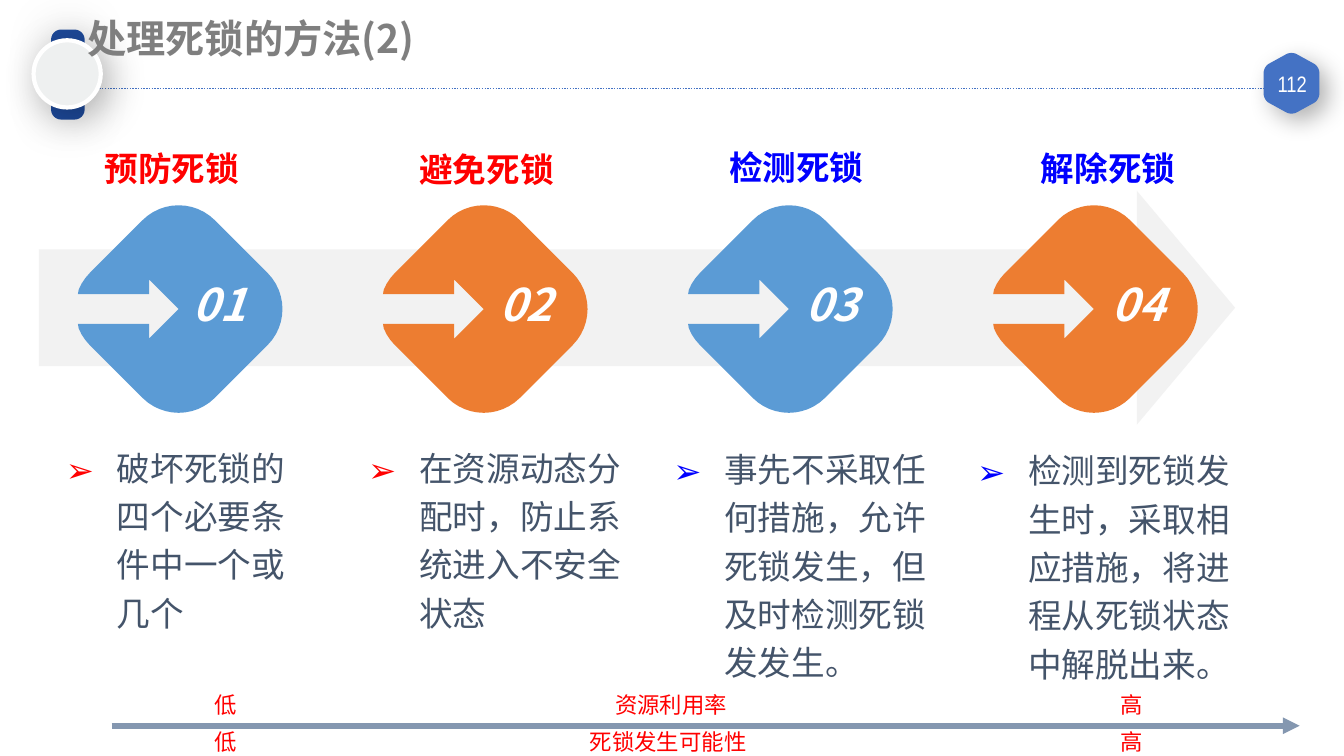
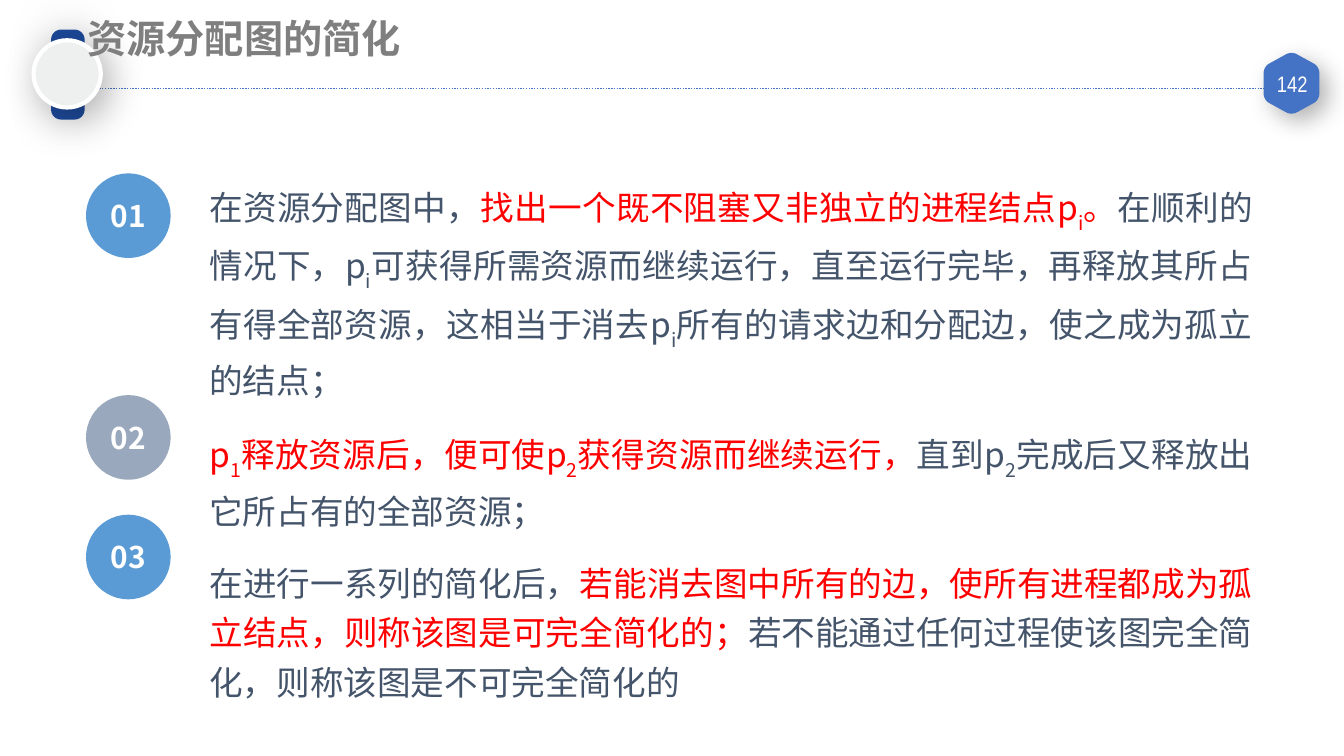
from math import hypot

from lxml.etree import SubElement
from pptx import Presentation
from pptx.dml.color import RGBColor
from pptx.enum.dml import MSO_LINE as Dash
from pptx.enum.shapes import MSO_CONNECTOR as Link, MSO_SHAPE as Kind
from pptx.enum.text import MSO_ANCHOR as Anchor, MSO_AUTO_SIZE as Fit, PP_ALIGN as Align
from pptx.oxml.ns import qn
from pptx.util import Inches, Pt

SANS = "Noto Sans CJK SC"
NARROW = "Arial Narrow"
WHITE, GRAY, PALE, PEARL = "FFFFFF", "7F7F7F", "F2F2F2", "EEF0F0"
INK, RED, PURE = "44546A", "FF0000", "0000FF"
ROYAL, NAVY, SKY = "4472C4", "1D4999", "5B9BD5"
ORANGE, SLATE, STEEL = "ED7D31", "99A8BD", "8497B0"
SNUG = (0.07, 0.04)
LOOSE = (0.1, 0.05)

METHODS = [
    ("预防死锁", RED, SKY, "破坏死锁的四个必要条件中一个或几个",
     (0.18, 1.06, 2.2, 0.32), (0.42, 3.23, 1.86, 1.2)),
    ("避免死锁", RED, ORANGE, "在资源动态分配时，防止系统进入不安全状态",
     (2.26, 1.04, 2.72, 0.32), (2.67, 3.23, 2.06, 1.74)),
    ("检测死锁", PURE, SKY, "事先不采取任何措施，允许死锁发生，但及时检测死锁发发生。",
     (4.96, 1.05, 1.93, 0.32), (4.94, 3.24, 2.1, 1.72)),
    ("解除死锁", PURE, ORANGE, "检测到死锁发生时，采取相应措施，将进程从死锁状态中解脱出来。",
     (6.98, 1.06, 2.53, 0.32), (7.2, 3.25, 2.24, 1.2)),
]
SCALES = [("资源利用率", 4.48, 1.04, 5.09), ("死锁发生可能性", 4.29, 1.38, 5.37)]
STEPS = [
    [("在资源分配图中，", INK),
     ("找出一个既不阻塞又非独立的进程结点p_i。", RED),
     ("在顺利的情况下，p_i可获得所需资源而继续运行，直至运行完毕，再释放其所占有得全部资源，"
      "这相当于消去p_i所有的请求边和分配边，使之成为孤立的结点；", INK)],
    [("p_1释放资源后，便可使p_2获得资源而继续运行，", RED),
     ("直到p_2完成后又释放出它所占有的全部资源；", INK)],
    [("在进行一系列的简化后，", INK),
     ("若能消去图中所有的边，使所有进程都成为孤立结点，则称该图是可完全简化的；", RED),
     ("若不能通过任何过程使该图完全简化，则称该图是不可完全简化的", INK)],
]
BADGES = [(1.29, SKY), (2.94, SLATE), (3.83, SKY)]


def tint(code):
    return RGBColor.from_string(code)


def paint(shape, fill, line=None, width=1):
    shape.shadow.inherit = False
    shape.fill.solid()
    shape.fill.fore_color.rgb = tint(fill)
    if line:
        shape.line.color.rgb = tint(line)
        shape.line.width = Pt(width)
    else:
        shape.line.fill.background()


def shade(shape, alpha, blur, dist, angle):
    props = shape._element.spPr
    glow = SubElement(props.find(qn("a:effectLst")), qn("a:outerShdw"), blurRad=str(Pt(blur)),
                      dist=str(Pt(dist)), dir=str(angle * 60000), algn="ctr", rotWithShape="0")
    color = SubElement(glow, qn("a:srgbClr"), val="000000")
    SubElement(color, qn("a:alpha"), val=str(alpha * 1000))


def style(para, size, color, bold=False, italic=False, face=SANS):
    font = para.font
    font.size, font.bold, font.italic = Pt(size), bold, italic
    font.color.rgb = tint(color)
    font.name = face
    base = para._p.pPr.find(qn("a:defRPr"))
    SubElement(base, qn("a:ea"), typeface=face)


def setup(frame, inset=SNUG, anchor=Anchor.TOP, wrap=True):
    frame.word_wrap = wrap
    frame.vertical_anchor = anchor
    frame.margin_left = frame.margin_right = Inches(inset[0])
    frame.margin_top = frame.margin_bottom = Inches(inset[1])


def write(frame, text, size, color, align=Align.CENTER, **look):
    para = frame.paragraphs[0]
    para.text = text
    para.alignment = align
    style(para, size, color, **look)
    return para


def label(slide, at, text, size, color, inset=SNUG, anchor=Anchor.TOP,
          wrap=True, **look):
    box = slide.shapes.add_textbox(*map(Inches, at))
    setup(box.text_frame, inset, anchor, wrap)
    return write(box.text_frame, text, size, color, **look)


def bullet(slide, at, text, color):
    box = slide.shapes.add_textbox(*map(Inches, at))
    setup(box.text_frame)
    para = box.text_frame.paragraphs[0]
    props = para._p.get_or_add_pPr()
    props.set("marL", str(Inches(0.38)))
    props.set("indent", str(-Inches(0.38)))
    SubElement(SubElement(props, qn("a:buClr")), qn("a:srgbClr"), val=color)
    SubElement(props, qn("a:buFont"), typeface=SANS)
    SubElement(props, qn("a:buChar"), char="➢")
    para.line_spacing = 1.2
    write(box.text_frame, text, 18, INK, Align.LEFT)


def block(slide, kind, at, fill, line=None, width=1):
    shape = slide.shapes.add_shape(kind, *map(Inches, at))
    paint(shape, fill, line, width)
    return shape


def rule(slide, start, end, color, width):
    line = slide.shapes.add_connector(Link.STRAIGHT, *map(Inches, start + end))
    line.line.color.rgb = tint(color)
    line.line.width = Pt(width)
    SubElement(line._element.spPr, qn("a:effectLst"))
    return line


def curve(corners, cut, count=12):
    points = []
    for i, (x, y) in enumerate(corners):
        ends = []
        for u, v in (corners[i - 1], corners[(i + 1) % len(corners)]):
            part = cut / hypot(u - x, v - y)
            ends.append(((u - x) * part, (v - y) * part))
        (a, b), (c, d) = ends
        for n in range(count + 1):
            t = n / count
            s = 1 - t
            p = s ** 3 + 1.35 * s * s * t
            q = t ** 3 + 1.35 * t * t * s
            points.append((x + p * a + q * c, y + p * b + q * d))
    return points


def outline(slide, points, x, y, fill, line=None):
    spots = [(Inches(x + u), Inches(y + v)) for u, v in points]
    pen = slide.shapes.build_freeform(*spots[0])
    pen.add_line_segments(spots[1:], close=True)
    shape = pen.convert_to_shape()
    paint(shape, fill, line)
    return shape


def diamond(slide, x, y, fill):
    points = curve([(0, -0.93), (0.93, 0), (0, 0.93), (-0.93, 0)], 0.38)
    notch = [(-0.75, 0.11), (-0.22, 0.11), (-0.22, 0.22), (0, 0),
             (-0.22, -0.22), (-0.22, -0.11), (-0.75, -0.11)]
    outline(slide, points[:-9] + notch + points[-4:], x, y, fill)


def frame(deck, title, page):
    slide = deck.slides.add_slide(deck.slide_layouts[5])
    rule(slide, (0.33, 0.66), (9.43, 0.66), ROYAL, 0.75).line.dash_style = Dash.ROUND_DOT
    hexa = [(0, -0.23), (0.2, -0.12), (0.2, 0.12), (0, 0.23), (-0.2, 0.12), (-0.2, -0.12)]
    shade(outline(slide, curve(hexa, 0.04), 9.61, 0.62, ROYAL, ROYAL), 30, 13, 6, 45)
    label(slide, (9.42, 0.5, 0.39, 0.25), page, 12, WHITE, anchor=Anchor.MIDDLE, face=NARROW)
    bar = block(slide, Kind.ROUNDED_RECTANGLE, (0.38, 0.22, 0.25, 0.67), NAVY)
    bar.adjustments[0] = 0.3
    shade(bar, 17, 27, 0, 0)
    disc = block(slide, Kind.OVAL, (0.25, 0.3, 0.5, 0.5), PEARL, WHITE, 2.25)
    shade(disc, 28, 22, 6, 45)
    head = slide.shapes.title
    head.left, head.top, head.width, head.height = map(Inches, (0.55, 0.06, 5.76, 0.45))
    setup(head.text_frame, LOOSE)
    head.text_frame.auto_size = Fit.SHAPE_TO_FIT_TEXT
    write(head.text_frame, title, 21, GRAY, Align.LEFT, bold=True)
    slide.shapes._spTree.append(head._element)
    return slide


def methods(deck):
    slide = frame(deck, "处理死锁的方法(2)", "112")
    band = block(slide, Kind.RIGHT_ARROW, (0.29, 1.42, 8.9, 1.74), PALE)
    band.adjustments[0], band.adjustments[1] = 0.5, 0.42
    for i, (name, color, fill, text, top, low) in enumerate(METHODS):
        diamond(slide, 1.33 + 2.27 * i, 2.3, fill)
        label(slide, (1.34 + 2.28 * i, 1.98, 0.58, 0.56), f"{i + 1:02}", 24, WHITE,
              anchor=Anchor.MIDDLE, bold=True, italic=True)
        para = label(slide, top, name, 18, color, bold=True)
        if i == 1:
            para.line_spacing = 1.1
        bullet(slide, low, text, color)
    axis = rule(slide, (0.83, 5.4), (9.67, 5.4), STEEL, 3)
    SubElement(axis.get_or_add_ln(), qn("a:tailEnd"), type="triangle")
    for name, x, width, y in SCALES:
        for text, left, wide in ((name, x, width), ("低", 1.5, 0.37), ("高", 8.24, 0.37)):
            label(slide, (left, y, wide, 0.3), text, 12, RED, LOOSE, wrap=False,
                  align=Align.LEFT)


def spell(para, text, color):
    for i, part in enumerate(text.split("_")):
        pieces = [(part[:1], True), (part[1:], False)] if i else [(part, False)]
        for piece, low in pieces:
            run = para.add_run()
            run.text = piece
            if color != INK:
                run.font.color.rgb = tint(color)
            if low:
                run._r.get_or_add_rPr().set("baseline", "-30000")


def steps(deck):
    slide = frame(deck, "资源分配图的简化", "142")
    for i, (y, fill) in enumerate(BADGES):
        disc = block(slide, Kind.OVAL, (0.64, y, 0.63, 0.63), fill)
        setup(disc.text_frame, anchor=Anchor.MIDDLE)
        write(disc.text_frame, f"{i + 1:02}", 16, WHITE, bold=True)
    box = slide.shapes.add_textbox(*map(Inches, (1.46, 1.26, 7.96, 3.8)))
    setup(box.text_frame, LOOSE)
    for i, parts in enumerate(STEPS):
        para = box.text_frame.add_paragraph() if i else box.text_frame.paragraphs[0]
        para.alignment = Align.JUSTIFY
        para.line_spacing = 1.23
        para.space_before = Pt(6 if i else 0)
        para.space_after = Pt(6)
        style(para, 18, INK)
        for text, color in parts:
            spell(para, text, color)


def main():
    deck = Presentation()
    deck.slide_width = Inches(10)
    deck.slide_height = deck.slide_width * 9 // 16
    methods(deck)
    steps(deck)
    deck.save("out.pptx")


if __name__ == "__main__":
    main()
